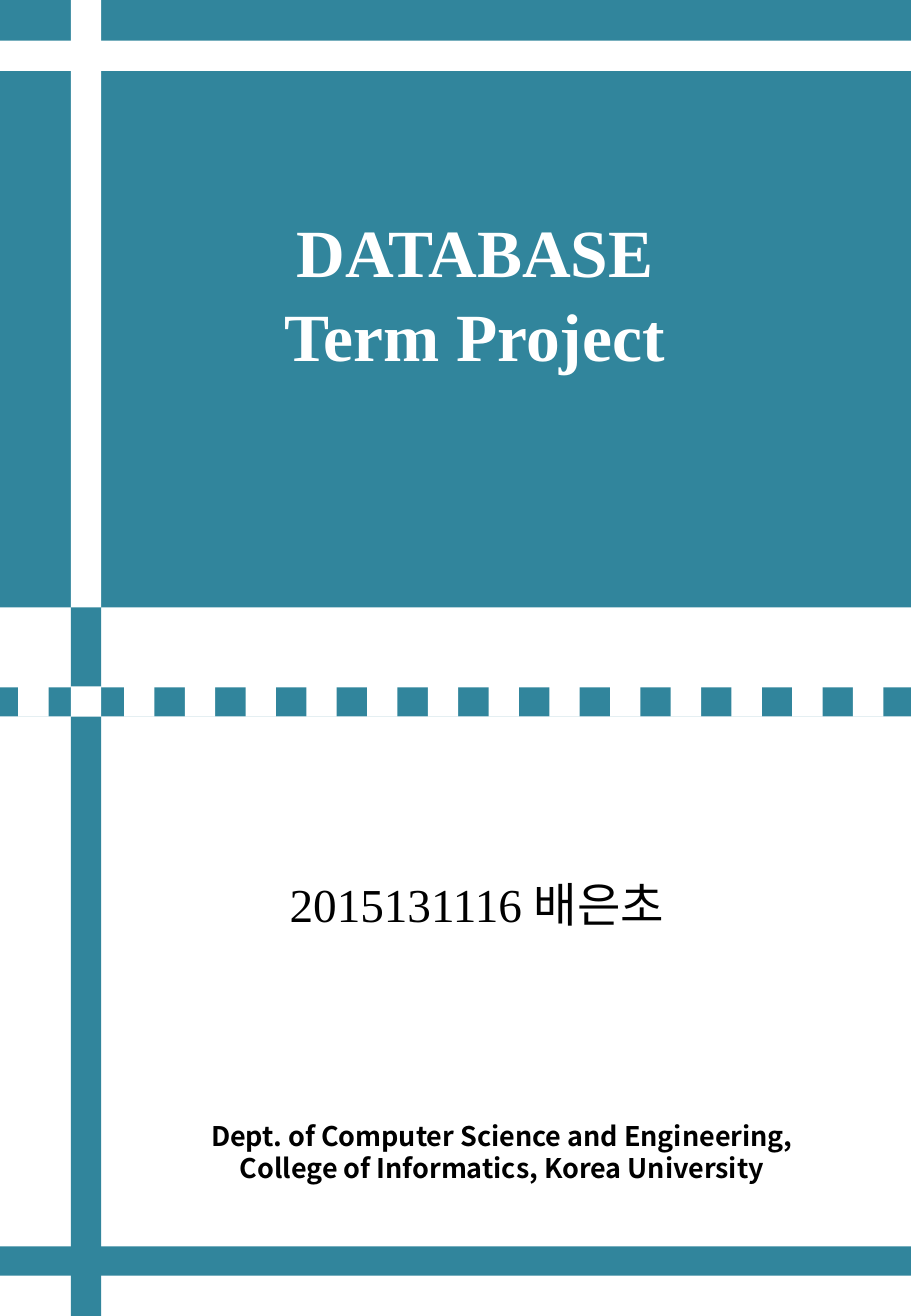
"""Build the cover page of a database term project."""
from pptx import Presentation
from pptx.dml.color import RGBColor
from pptx.enum.shapes import MSO_SHAPE
from pptx.enum.text import MSO_ANCHOR, PP_ALIGN
from pptx.util import Pt
from lxml import etree

RECTANGLE = MSO_SHAPE.RECTANGLE
CENTER = PP_ALIGN.CENTER
TOP, MIDDLE = MSO_ANCHOR.TOP, MSO_ANCHOR.MIDDLE
TEAL = RGBColor(0x31, 0x85, 0x9C)
WHITE = RGBColor(0xFF, 0xFF, 0xFF)
BLACK = RGBColor(0x00, 0x00, 0x00)
SERIF = "Times New Roman"
SANS = "Noto Sans CJK KR"
DRAWING = "http://schemas.openxmlformats.org/drawingml/2006/main"
PAGE_WIDTH, PAGE_HEIGHT = 540, 780
BAR_LEFT, BAR_WIDTH = 42, 18
DASH_TOP, DASH_STEP = 406.8, 36


def add_block(page, left, top, width, height, color):
    """Add a plain filled rectangle."""
    block = page.shapes.add_shape(
        RECTANGLE, Pt(left), Pt(top), Pt(width), Pt(height))
    block.shadow.inherit = False
    block.fill.solid()
    block.fill.fore_color.rgb = color
    block.line.fill.background()


def add_text(page, frame, lines, size, font, color, bold=False,
             anchor=TOP, gap=0, spacing=1.0):
    """Add a box of centred lines, with a gap between them."""
    box = page.shapes.add_textbox(*(Pt(length) for length in frame))
    text_frame = box.text_frame
    text_frame.word_wrap = True
    text_frame.vertical_anchor = anchor
    text_frame.text = "\n".join(lines)
    for index, para in enumerate(text_frame.paragraphs):
        para.alignment = CENTER
        para.line_spacing = spacing
        if index:
            para.space_before = Pt(gap)
        for span in para.runs:
            span.font.size = Pt(size)
            span.font.name = font
            span.font.bold = bold
            span.font.color.rgb = color
            east_asian = etree.SubElement(span.font._element, f"{{{DRAWING}}}ea")
            east_asian.set("typeface", SANS)


def add_dashed_band(page):
    """Add the teal band and the white squares that cut it."""
    add_block(page, 0, 407.4, PAGE_WIDTH, 17.3, TEAL)
    regular = [73.6 + DASH_STEP * index for index in range(13)]
    for left in [10.8, BAR_LEFT, *regular]:
        add_block(page, left, DASH_TOP, BAR_WIDTH, 18, WHITE)


def main():
    """Build and save the deck."""
    deck = Presentation()
    deck.slide_width, deck.slide_height = Pt(PAGE_WIDTH), Pt(PAGE_HEIGHT)
    page = deck.slides.add_slide(deck.slide_layouts[6])

    add_block(page, 0, 0, PAGE_WIDTH, 360, TEAL)
    add_block(page, 0, 738.8, PAGE_WIDTH, 17.4, TEAL)
    add_block(page, BAR_LEFT, 324, BAR_WIDTH, PAGE_HEIGHT - 324, TEAL)
    add_block(page, BAR_LEFT, 0, BAR_WIDTH, 360, WHITE)
    add_block(page, 0, 24, PAGE_WIDTH, 18, WHITE)
    add_dashed_band(page)

    add_text(page, (52, 121.5, 459, 104), ["DATABASE", "Term Project"],
             40, SERIF, WHITE, bold=True, anchor=MIDDLE, gap=2)
    add_text(page, (93.6, 515, 378, 126), ["2015131116 배은초"],
             28, SERIF, BLACK)
    add_text(page, (72.6, 664, 450, 61),
             ["Dept. of Computer Science and Engineering,",
              "College of Informatics, Korea University"],
             16, SANS, BLACK, bold=True, gap=3.2, spacing=0.8)
    deck.save("out.pptx")


if __name__ == "__main__":
    main()
